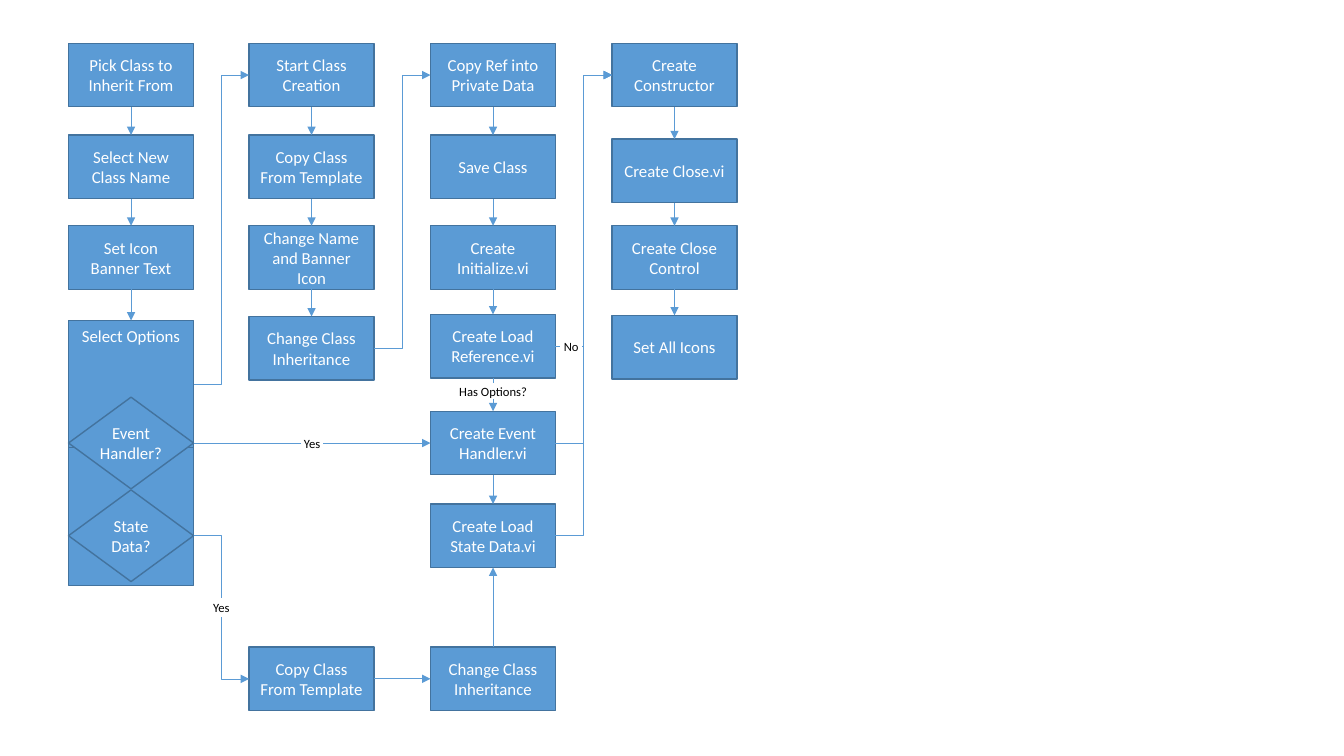
from dataclasses import dataclass
from itertools import pairwise

from lxml.etree import SubElement
from pptx import Presentation
from pptx.dml.color import RGBColor
from pptx.enum.shapes import MSO_CONNECTOR as Connector, MSO_SHAPE as Shape
from pptx.enum.text import MSO_ANCHOR as Anchor, PP_ALIGN as Align
from pptx.oxml.ns import qn
from pptx.util import Pt

PX = 9144
TOP, LEFT, BOTTOM, RIGHT = range(4)
BOX_WIDTH, BOX_HEIGHT = 124, 63
COLUMN_LEFTS = (68, 247, 427, 607)
BOTTOM_ROW = 642
DECISION_HEIGHT = 91
NO_INSETS = dict.fromkeys(("margin_left", "margin_top", "margin_right", "margin_bottom"), 0)

COLUMNS = (
    (("Pick Class to Inherit From", 43), ("Select New Class Name", 134), ("Set Icon Banner Text", 224)),
    (("Start Class Creation", 43), ("Copy Class From Template", 134),
     ("Change Name and Banner Icon", 224), ("Change Class\nInheritance", 314)),
    (("Copy Ref into Private Data", 43), ("Save Class", 134), ("Create Initialize.vi", 224),
     ("Create Load Reference.vi", 312), ("Create Event Handler.vi", 408), ("Create Load State Data.vi", 500)),
    (("Create Constructor", 43), ("Create Close.vi", 138), ("Create Close Control", 224), ("Set All Icons", 313)),
)
LABELS = (
    ("Has Options?", 443, 381, 92, 14, {}),
    ("Yes", 299, 431, 21, 17, NO_INSETS),
    ("Yes", 209, 594, 21, 17, NO_INSETS),
    ("No", 556, 335, 21, 17, NO_INSETS),
)


@dataclass(frozen=True)
class Theme:
    font: str = "Calibri"
    fill: RGBColor = RGBColor.from_string("5B9BD5")
    outline: RGBColor = RGBColor.from_string("43739E")
    light: RGBColor = RGBColor.from_string("FFFFFF")
    dark: RGBColor = RGBColor.from_string("000000")
    box_size: int = Pt(12)
    label_size: int = Pt(9)
    outline_width: int = Pt(1)
    arrow_width: int = Pt(0.5)


def apply(target, values):
    for name, value in values.items():
        setattr(target, name, value)


class Flowchart:
    """Draws flowchart elements on one slide in one style."""

    def __init__(self, slide, theme):
        self.slide = slide
        self.theme = theme

    def add(self, kind, text, bounds, fill, outline, font, frame):
        shape = self.slide.shapes.add_shape(kind, *(length * PX for length in bounds))
        shape.shadow.inherit = False
        shape.fill.solid()
        shape.fill.fore_color.rgb = fill
        shape.line.color.rgb = outline
        shape.line.width = self.theme.outline_width
        if text:
            shape.text_frame.text = text
            apply(shape.text_frame, {"word_wrap": True, "vertical_anchor": Anchor.MIDDLE} | frame)
            color, size = font
            for paragraph in shape.text_frame.paragraphs:
                paragraph.alignment = Align.CENTER
                apply(paragraph.runs[0].font, {"name": self.theme.font, "size": size})
                paragraph.runs[0].font.color.rgb = color
        return shape

    def box(self, text, left, top, height=BOX_HEIGHT, kind=Shape.RECTANGLE, frame={}):
        theme = self.theme
        return self.add(kind, text, (left, top, BOX_WIDTH, height),
                        theme.fill, theme.outline, (theme.light, theme.box_size), frame)

    def decision(self, text, left, top):
        return self.box(text, left, top, DECISION_HEIGHT, Shape.FLOWCHART_DECISION, NO_INSETS)

    def label(self, text, left, top, width, height, frame):
        theme = self.theme
        return self.add(Shape.RECTANGLE, text, (left, top, width, height),
                        theme.light, theme.light, (theme.dark, theme.label_size), frame)

    def arrow(self, start, end, start_site=BOTTOM, end_site=TOP, kind=Connector.STRAIGHT):
        connector = self.slide.shapes.add_connector(kind, 0, 0, 0, 0)
        connector.begin_connect(start, start_site)
        connector.end_connect(end, end_site)
        connector.line.color.rgb = self.theme.fill
        connector.line.width = self.theme.arrow_width
        properties = connector._element.spPr
        SubElement(properties.find(qn("a:ln")), qn("a:tailEnd"), type="triangle")
        SubElement(properties, qn("a:effectLst"))

    def across(self, start, end, kind=Connector.ELBOW):
        self.arrow(start, end, RIGHT, LEFT, kind)


def main():
    presentation = Presentation()
    apply(presentation, {"slide_width": 1333 * PX, "slide_height": 750 * PX})
    slide = presentation.slides.add_slide(presentation.slide_layouts[6])
    chart = Flowchart(slide, Theme())

    first_left, second_left, third_left, _ = COLUMN_LEFTS
    chart.box("", first_left, 532, 49)
    chart.box("", first_left, 443, 89)
    options = chart.box("Select Options", first_left, 318, 126, frame={"vertical_anchor": Anchor.TOP})
    event_decision = chart.decision("Event Handler?", first_left, 394)
    state_decision = chart.decision("State Data?", first_left, 486)

    columns = [[chart.box(text, left, top) for text, top in steps]
               for left, steps in zip(COLUMN_LEFTS, COLUMNS)]
    setup, creation, building, closing = columns
    setup.append(options)
    state_copy = chart.box("Copy Class From Template", second_left, BOTTOM_ROW)
    state_inheritance = chart.box("Change Class\nInheritance", third_left, BOTTOM_ROW)

    for column in columns:
        for start, end in pairwise(column):
            chart.arrow(start, end)

    load_reference, event_handler, load_state = building[-3:]
    chart.across(options, creation[0])
    chart.across(creation[-1], building[0])
    chart.across(state_decision, state_copy)
    for step in (load_reference, event_handler, load_state):
        chart.across(step, closing[0])
    chart.across(event_decision, event_handler, Connector.STRAIGHT)
    chart.across(state_copy, state_inheritance, Connector.STRAIGHT)
    chart.arrow(state_inheritance, load_state, TOP, BOTTOM)

    for label in LABELS:
        chart.label(*label)

    presentation.save("out.pptx")


if __name__ == "__main__":
    main()
